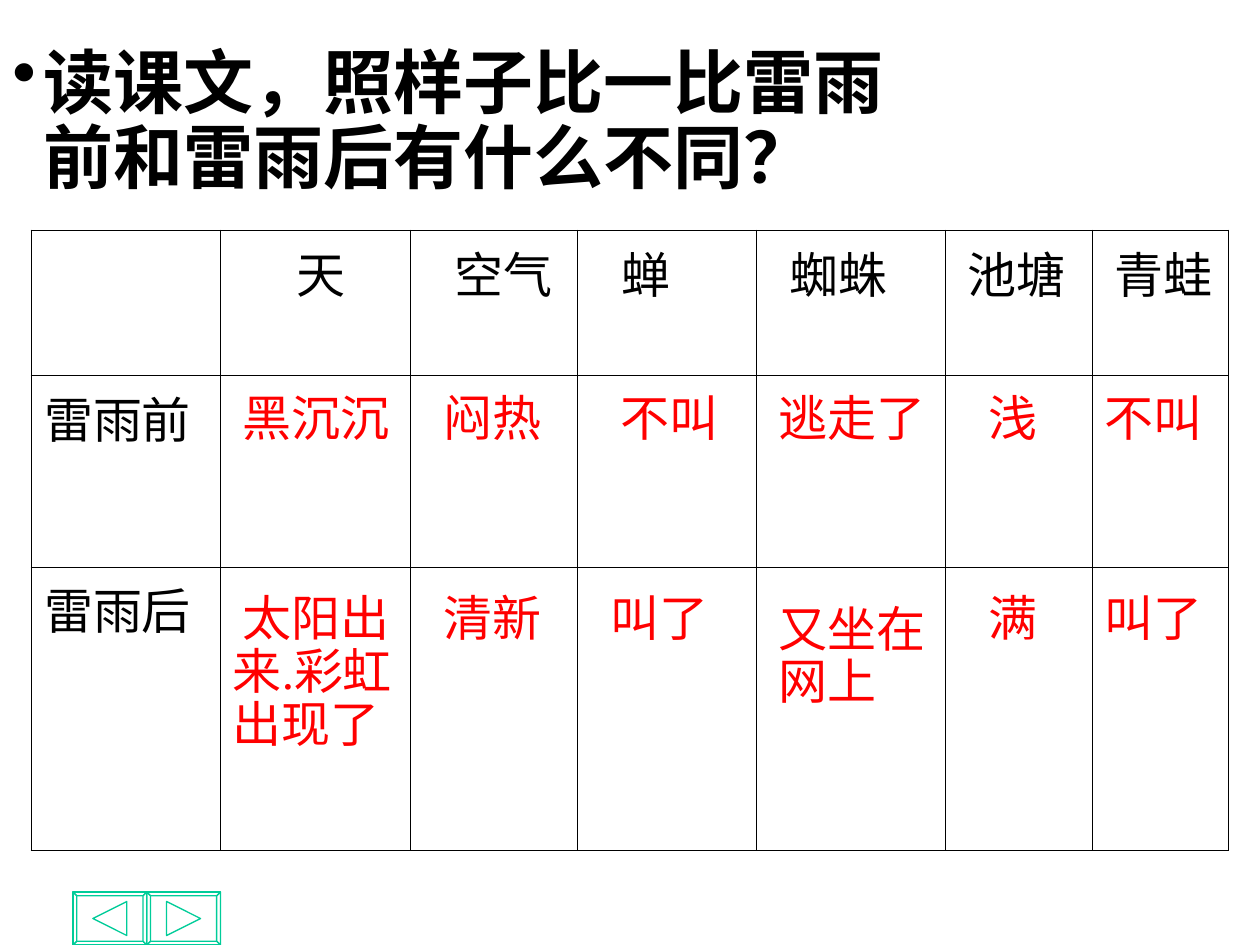
from lxml.etree import SubElement
from pptx import Presentation
from pptx.dml.color import RGBColor
from pptx.enum.text import MSO_AUTO_SIZE as AutoSize
from pptx.oxml.ns import qn
from pptx.util import Inches, Pt

BLACK = RGBColor(0, 0, 0)
RED = RGBColor(0xFF, 0, 0)
WHITE = RGBColor(0xFF, 0xFF, 0xFF)
GREEN = RGBColor(0, 0xCC, 0x99)

TITLE = "读课文，照样子比一比雷雨前和雷雨后有什么不同？"
COLUMN_WIDTHS = [1.5, 1.51, 1.32, 1.42, 1.5, 1.17, 1.08]
ROW_HEIGHTS = [1.15, 1.52, 2.25, 0.75]
HEADERS = [("天", 0.5), ("空气", 0.25), ("蝉", 0.25), ("蜘蛛", 0.17), ("池塘", 0.08), ("青蛙", 0.08)]
ROW_LABELS = ["雷雨前", "雷雨后"]
BEFORE_TOP, AFTER_TOP = 3.08, 4.67
BEFORE = [
    ("黑沉沉", 1.83, 1.42),
    ("闷热", 3.42, 1),
    ("不叫", 4.83, 1.08),
    ("逃走了", 6.08, 1.58),
    ("浅", 7.75, 0.75),
    ("不叫", 8.67, 1.33),
]
AFTER = [
    ("清新", 3.42, 1.25),
    ("叫了", 4.75, 1.08),
    ("满", 7.75, 1.17),
    ("叫了", 8.67, 1.33),
]
THIN, THICK = 0.45, 1.08
NO_STYLE = "{2D5ABB26-0587-4C30-8999-92F81FD0307C}"


def write(paragraph, text, size, color, bold=False):
    run = paragraph.add_run()
    run.text = text
    for name, value in {"name": "Times New Roman", "size": Pt(size), "bold": bold}.items():
        setattr(run.font, name, value)
    run.font.color.rgb = color


def indent(paragraph, margin, first_line):
    properties = paragraph._p.get_or_add_pPr()
    properties.set("marL", str(Inches(margin)))
    properties.set("indent", str(Inches(first_line)))
    return properties


def add_text(slide, text, left, top, width, height):
    box = slide.shapes.add_textbox(Inches(left), Inches(top), Inches(width), Inches(height))
    frame = box.text_frame
    for name, value in {"word_wrap": True, "auto_size": AutoSize.SHAPE_TO_FIT_TEXT}.items():
        setattr(frame, name, value)
    paragraph = frame.paragraphs[0]
    paragraph.line_spacing = 0.9
    return paragraph


def add_title(slide, left, top, width, height):
    paragraph = add_text(slide, TITLE, left, top, width, height)
    properties = indent(paragraph, 0.25, -0.25)
    SubElement(properties, qn("a:buChar"), char="•")
    write(paragraph, TITLE, 40, BLACK, True)


def add_answer(slide, text, left, top, width, height=0.52, first_line=0):
    paragraph = add_text(slide, text, left, top, width, height)
    indent(paragraph, 0, first_line)
    write(paragraph, text, 28, RED)


def set_borders(cell, widths):
    properties = cell._tc.get_or_add_tcPr()
    for side in "LRTB":
        width = widths.get(side)
        line = SubElement(properties, qn(f"a:ln{side}"), w=str(Pt(width or 0)))
        if width:
            fill = SubElement(line, qn("a:solidFill"))
            SubElement(fill, qn("a:srgbClr"), val=str(BLACK))
        else:
            SubElement(line, qn("a:noFill"))


def add_comparison(slide, left, top, width, height):
    rows, columns = len(ROW_HEIGHTS), len(COLUMN_WIDTHS)
    frame = slide.shapes.add_table(rows, columns, Inches(left), Inches(top), Inches(width), Inches(height))
    table = frame.table
    table._tbl.tblPr.find(qn("a:tableStyleId")).text = NO_STYLE
    for name in ("first_row", "horz_banding"):
        setattr(table, name, False)
    for column, column_width in zip(table.columns, COLUMN_WIDTHS):
        column.width = Inches(column_width)
    for row, row_height in zip(table.rows, ROW_HEIGHTS):
        row.height = Inches(row_height)
    last_row, last_column = rows - 1, columns - 1
    table.cell(last_row, 0).merge(table.cell(last_row, last_column))

    for r in range(rows):
        for c in range(columns):
            cell = table.cell(r, c)
            if r == last_row:
                set_borders(cell, {"T": THIN})
            else:
                set_borders(cell, {
                    "L": THIN if c else THICK,
                    "R": THICK if c == last_column else THIN,
                    "T": THIN if r else THICK,
                    "B": THIN,
                })
            cell.fill.background()
    highlighted = table.cell(1, 1).fill
    highlighted.solid()
    highlighted.fore_color.rgb = WHITE

    for c, (header, margin) in enumerate(HEADERS, 1):
        paragraph = table.cell(0, c).text_frame.paragraphs[0]
        indent(paragraph, margin, 0)
        write(paragraph, header, 28, BLACK)
    for r, label in enumerate(ROW_LABELS, 1):
        write(table.cell(r, 0).text_frame.paragraphs[0], label, 28, BLACK)


def add_answers(slide):
    for top, answers in ((BEFORE_TOP, BEFORE), (AFTER_TOP, AFTER)):
        for text, left, width in answers:
            add_answer(slide, text, left, top, width)
    add_answer(slide, "太阳出来.彩虹出现了", 1.75, AFTER_TOP, 1.58, 1.78, 0.08)
    add_answer(slide, "又坐在网上", 6.08, 4.75, 1.67, 0.94)


def add_button(slide, left, top, width, height, direction):
    bevel = 0.03
    right, bottom = left + width, top + height
    outer = [(left, top), (right, top), (right, bottom), (left, bottom)]
    inner = [
        (left + bevel, top + bevel),
        (right - bevel, top + bevel),
        (right - bevel, bottom - bevel),
        (left + bevel, bottom - bevel),
    ]
    center_x, center_y, reach = left + width / 2, top + height / 2, 0.135
    base_x = center_x - direction * reach
    arrow = [(base_x, center_y - reach), (center_x + direction * reach, center_y), (base_x, center_y + reach)]
    contours = [outer]
    for i in range(4):
        j = (i + 1) % 4
        contours.append([outer[i], outer[j], inner[j], inner[i]])
    contours.append(arrow)

    builder = slide.shapes.build_freeform(Inches(left), Inches(top))
    for contour in contours:
        points = [(Inches(x), Inches(y)) for x, y in contour]
        builder.move_to(*points[0])
        builder.add_line_segments(points[1:], close=True)
    button = builder.convert_to_shape()
    button.shadow.inherit = False
    button.fill.background()
    button.line.color.rgb = GREEN
    button.line.width = Pt(0.75)


def add_navigation(slide, left, top, width, height):
    button_width = width / 2
    add_button(slide, left + button_width, top, button_width, height, 1)
    add_button(slide, left, top, button_width, height, -1)


def main():
    deck = Presentation()
    deck.slide_width, deck.slide_height = Inches(10), Inches(7.5)
    slide = deck.slides.add_slide(deck.slide_layouts[6])
    add_comparison(slide, 0.25, 1.83, 9.5, 5.67)
    add_title(slide, 0, 0.33, 7.25, 1.3)
    add_answers(slide)
    add_navigation(slide, 0.58, 7.08, 1.17, 0.42)
    deck.save("out.pptx")


if __name__ == "__main__":
    main()
